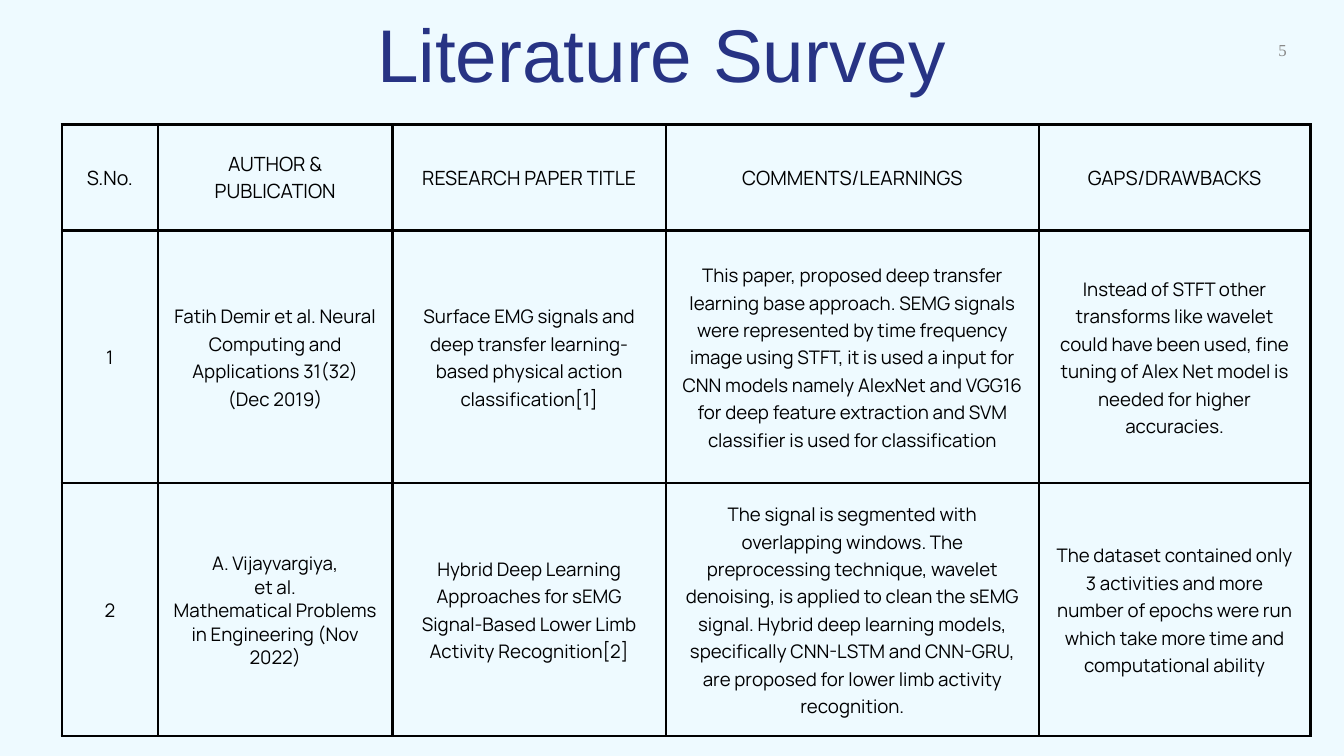
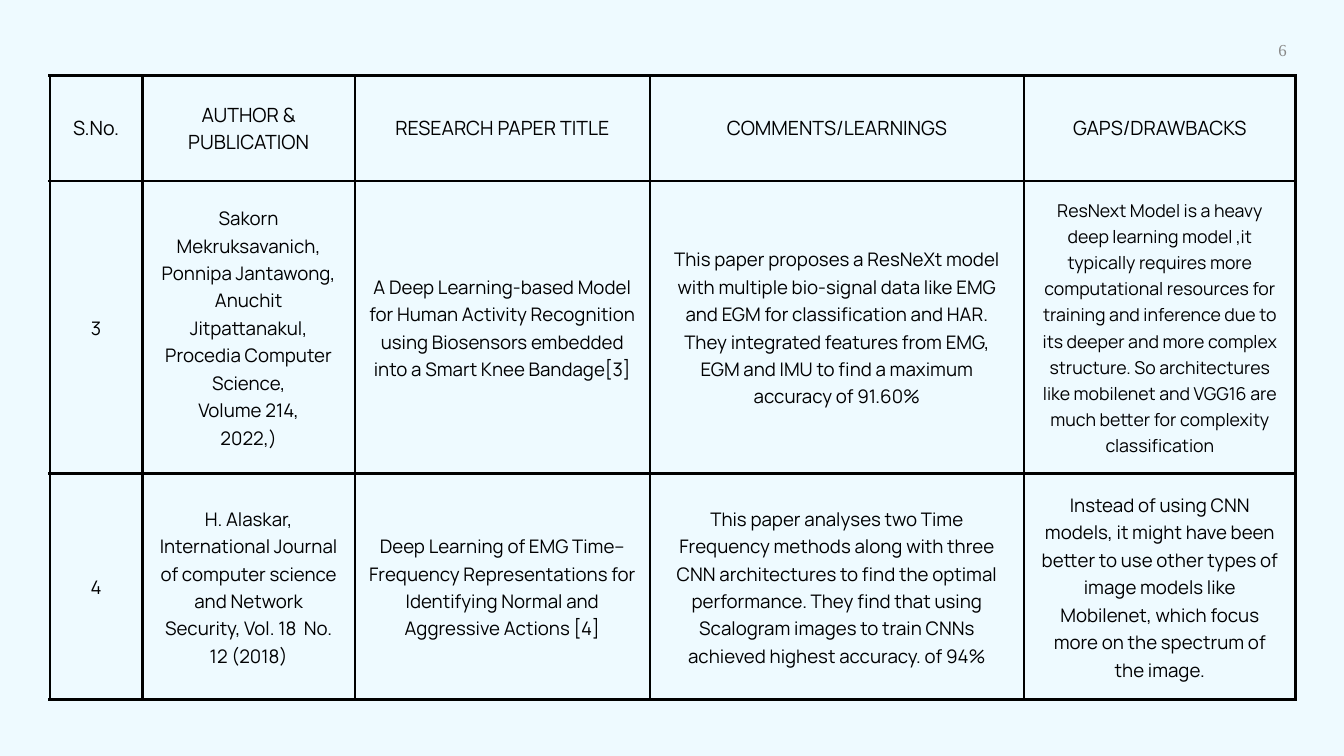
from lxml import etree
from pptx import Presentation, util as u
from pptx.dml.color import RGBColor
from pptx.enum import text as t
from pptx.oxml.ns import qn

HUES = {"back": "EEFAFF", "ink": "000000", "title": "273384", "page": "898989"}
MID, RIGHT = t.PP_ALIGN.CENTER, t.PP_ALIGN.RIGHT
HEAD = {"size": 21, "name": "Manrope", "hue": "ink", "lead": 29.4, "align": MID}
BODY = {**HEAD, "size": 20}
DENSE = {**BODY, "size": 19, "lead": 27.9}
TITLE = {"size": 80, "name": "Arial", "hue": "title", "lead": 101.6, "align": MID}
PAGE = {"size": 18, "name": "Times New Roman", "hue": "page", "lead": 21.6, "align": RIGHT}
SIDES = ("left", "right", "top", "bottom")
LABELS = ["S.No.", "AUTHOR &\nPUBLICATION", "RESEARCH PAPER TITLE",
          "COMMENTS/LEARNINGS", "GAPS/DRAWBACKS"]

PAGES = [
    {"title": "Literature Survey ", "page": "5", "spot": (0.92, 1.85),
     "cols": [1.43, 3.49, 4.07, 5.55, 4.04], "rows": [1.58, 3.76, 3.76],
     "papers": [
         ["1",
          "Fatih Demir et al. Neural Computing and Applications 31(32) (Dec 2019)",
          "Surface EMG signals and deep transfer learning-based physical action "
          "classification[1]",
          "This paper, proposed deep transfer learning base approach. SEMG signals were "
          "represented by time frequency image using STFT, it is used a input for CNN "
          "models namely AlexNet and VGG16 for deep feature extraction and SVM "
          "classifier is used for classification",
          "Instead of STFT other transforms like wavelet could have been used, fine "
          "tuning of Alex Net model is needed for higher accuracies."],
         ["2",
          "A. Vijayvargiya,\net al.\nMathematical Problems in Engineering (Nov 2022)",
          "Hybrid Deep Learning Approaches for sEMG Signal-Based Lower Limb Activity "
          "Recognition[2]",
          "The signal is segmented with overlapping windows. The preprocessing "
          "technique, wavelet denoising, is applied to clean the sEMG signal. Hybrid "
          "deep learning models, specifically CNN-LSTM and CNN-GRU, are proposed for "
          "lower limb activity recognition.",
          "The dataset contained only 3 activities and more number of epochs were run "
          "which take more time and computational ability"]]},
    {"title": None, "page": "6", "spot": (0.74, 1.12),
     "cols": [1.38, 3.16, 4.39, 5.57, 4.04], "rows": [1.57, 4.36, 3.36],
     "papers": [
         ["3",
          "Sakorn Mekruksavanich, Ponnipa Jantawong, Anuchit Jitpattanakul, Procedia "
          "Computer Science,\nVolume 214,\n2022,)",
          "A Deep Learning-based Model for Human Activity Recognition using Biosensors "
          "embedded into a Smart Knee Bandage[3]",
          "This paper proposes a ResNeXt model with multiple bio-signal data like EMG "
          "and EGM for classification and HAR. They integrated features from EMG, EGM "
          "and IMU to find a maximum accuracy of 91.60%",
          "ResNext Model is a heavy deep learning model ,it typically requires more "
          "computational resources for training and inference due to its deeper and more "
          "complex structure. So architectures like mobilenet and VGG16 are much better "
          "for complexity classification"],
         ["4",
          "H. Alaskar, International Journal of computer science and Network Security, "
          "Vol. 18  No. 12 (2018)",
          "Deep Learning of EMG Time–Frequency Representations for Identifying Normal "
          "and Aggressive Actions [4]",
          "This paper analyses two Time Frequency methods along with three CNN "
          "architectures to find the optimal performance. They find that using Scalogram "
          "images to train CNNs achieved highest accuracy. of 94%",
          "Instead of using CNN models, it might have been better to use other types of "
          "image models like Mobilenet, which focus more on the spectrum of the image."]]},
]


def write(frame, words, form, inset=0):
    """Fill a text frame, one paragraph a line, in the given format."""
    frame.word_wrap = True
    for side in SIDES:
        setattr(frame, f"margin_{side}", u.Inches(inset))
    frame.text = words
    for para in frame.paragraphs:
        para.alignment = form["align"]
        para.line_spacing = u.Pt(form["lead"])
        para.space_before = u.Pt(0)
        for run in para.runs:
            run.font.size, run.font.name = u.Pt(form["size"]), form["name"]
            run.font.color.rgb = RGBColor.from_string(HUES[form["hue"]])


def frame_cell(cell):
    """Clear the fill of a cell and rule all four of its sides."""
    cell.fill.background()
    props = cell._tc.get_or_add_tcPr()
    for spot, tag in enumerate(("a:lnL", "a:lnR", "a:lnT", "a:lnB")):
        line = etree.Element(qn(tag), w=str(u.Pt(3)))
        fill = etree.SubElement(line, qn("a:solidFill"))
        etree.SubElement(fill, qn("a:srgbClr"), val=HUES["ink"])
        props.insert(spot, line)


deck = Presentation()
deck.slide_width, deck.slide_height = u.Inches(20), u.Inches(11.25)
back = deck.slide_master.background.fill
back.solid()
back.fore_color.rgb = RGBColor.from_string(HUES["back"])

for page in PAGES:
    slide = deck.slides.add_slide(deck.slide_layouts[5 if page["title"] else 6])
    if page["title"]:
        head = slide.shapes.title
        head.left, head.top, head.width, head.height = map(u.Inches, (5.2, 0.04, 9.6, 1.52))
        write(head.text_frame, page["title"], TITLE)
        head.text_frame.auto_size = t.MSO_AUTO_SIZE.NONE
        head.text_frame.vertical_anchor = t.MSO_ANCHOR.TOP

    cols, rows = page["cols"], page["rows"]
    grid = slide.shapes.add_table(len(rows), len(cols), *map(
        u.Inches, (*page["spot"], sum(cols), sum(rows)))).table
    grid.first_row = grid.horz_banding = False
    for col, width in zip(grid.columns, cols):
        col.width = u.Inches(width)
    for row, height in zip(grid.rows, rows):
        row.height = u.Inches(height)

    for r, texts in enumerate([LABELS, *page["papers"]]):
        for c, words in enumerate(texts):
            cell = grid.cell(r, c)
            form = HEAD if r == 0 else DENSE if words.startswith("ResNext") else BODY
            write(cell.text_frame, words, form)
            for side in SIDES:
                setattr(cell, f"margin_{side}", u.Inches(0.21))
            cell.vertical_anchor = t.MSO_ANCHOR.MIDDLE
            frame_cell(cell)
            if words.startswith("A. Vijay"):
                for para in cell.text_frame.paragraphs[1:]:
                    para.line_spacing = u.Pt(25.2)

    note = slide.shapes.add_textbox(*map(u.Inches, (17.02, 0.59, 2.13, 0.33)))
    write(note.text_frame, page["page"], PAGE)

deck.save("out.pptx")
